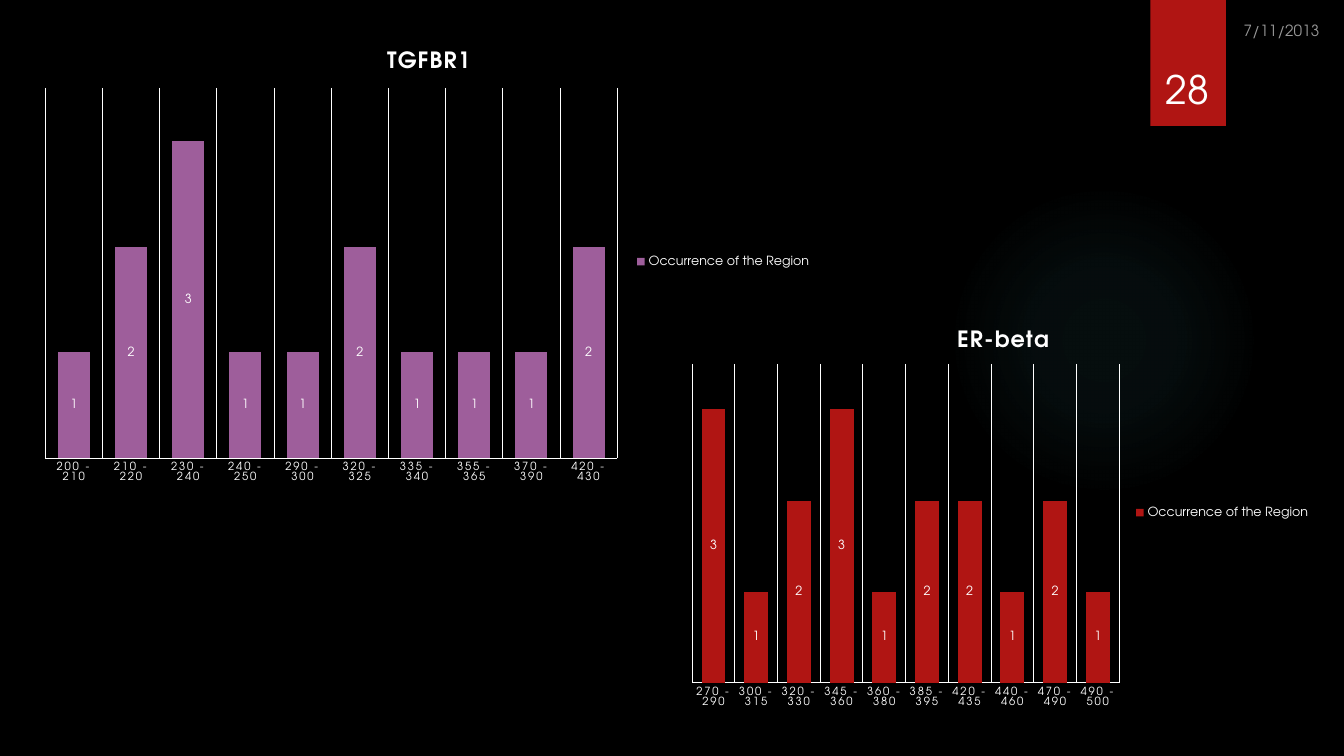
from pptx import Presentation
from pptx.chart.data import CategoryChartData as Data
from pptx.dml.color import RGBColor
from pptx.enum.chart import XL_CHART_TYPE as Kind, XL_LABEL_POSITION as Spot
from pptx.enum.chart import XL_LEGEND_POSITION as Side, XL_TICK_MARK as Tick
from pptx.enum.shapes import MSO_SHAPE as Form
from pptx.enum.text import MSO_ANCHOR as Anchor, PP_ALIGN as Align
from pptx.oxml import parse_xml
from pptx.oxml.ns import nsdecls, qn
from pptx.util import Pt

FACE = "TeX Gyre Adventor"
BLACK = RGBColor(0x00, 0x00, 0x00)
WHITE = RGBColor(0xFF, 0xFF, 0xFF)
RED = RGBColor(0xB0, 0x15, 0x13)
PLUM = RGBColor(0x9E, 0x5E, 0x9B)
TEAL = RGBColor(0x50, 0xB9, 0xC1)


def style(font, size, bold=False):
    font.name = FACE
    font.size = Pt(size)
    font.bold = bold
    font.color.rgb = WHITE


def add_text(slide, text, box, size=11, align=Align.LEFT, anchor=Anchor.TOP, alpha=100):
    frame = slide.shapes.add_textbox(*map(Pt, box)).text_frame
    frame.word_wrap = True
    frame.vertical_anchor = anchor
    para = frame.paragraphs[0]
    para.alignment = align
    run = para.add_run()
    run.text = text
    style(run.font, size)
    if alpha < 100:
        tint = run.font.fill.fore_color
        tint.rgb = WHITE
        for node in para._p.iter(qn("a:srgbClr")):
            node.append(parse_xml(f'<a:alpha {nsdecls("a")} val="{alpha * 1000}"/>'))


def add_form(slide, kind, box):
    form = slide.shapes.add_shape(kind, *map(Pt, box))
    form.shadow.inherit = False
    form.line.fill.background()
    return form


def add_badge(slide, box):
    badge = add_form(slide, Form.RECTANGLE, box)
    badge.fill.solid()
    badge.fill.fore_color.rgb = RED


def add_glow(slide, box):
    glow = add_form(slide, Form.OVAL, box)
    stops = "".join(
        f'<a:gs pos="{pos * 1000}"><a:srgbClr val="{TEAL}">'
        f'<a:alpha val="{alpha * 1000}"/></a:srgbClr></a:gs>'
        for pos, alpha in [(0, 7), (36, 6), (69, 0), (100, 0)])
    fill = parse_xml(
        f'<a:gradFill {nsdecls("a")}><a:gsLst>{stops}</a:gsLst><a:path path="circle">'
        '<a:fillToRect l="50000" t="50000" r="50000" b="50000"/></a:path></a:gradFill>')
    glow.element.spPr.find(qn("a:prstGeom")).addnext(fill)


def place(node, index, target="", **marks):
    for old in node.findall(qn("c:layout")):
        node.remove(old)
    inner = f'<c:layoutTarget val="{target}"/>' if target else ""
    modes = "".join(f'<c:{key}Mode val="edge"/>' for key in marks if key in "xy")
    sizes = "".join(f'<c:{key} val="{val:.3f}"/>' for key, val in marks.items())
    node.insert(index, parse_xml(
        f'<c:layout {nsdecls("c")}><c:manualLayout>{inner}{modes}{sizes}'
        '</c:manualLayout></c:layout>'))


def set_axes(chart):
    cats = chart.category_axis
    cats.major_tick_mark = cats.minor_tick_mark = Tick.NONE
    cats.has_major_gridlines = True
    for line in (cats.format.line, cats.major_gridlines.format.line):
        line.color.rgb = WHITE
        line.width = Pt(0.75)
    style(cats.tick_labels.font, 8)
    for node in chart.element.xpath(".//c:catAx//a:defRPr"):
        node.set("spc", "120")
    vals = chart.value_axis
    vals.minimum_scale, vals.maximum_scale = 0, 3.5
    vals.has_major_gridlines = False
    vals.visible = False


def set_title(chart, text, spot):
    chart.has_title = True
    title = chart.chart_title
    run = title.text_frame.paragraphs[0].add_run()
    run.text = text
    style(run.font, 16, bold=True)
    for node in title.element.iter(qn("a:rPr")):
        node.set("spc", "100")
    place(title.element, 1, x=spot[0], y=spot[1])


def add_bars(slide, title, ranges, counts, color, box, spot, plot):
    data = Data()
    data.categories = ranges
    data.add_series("Occurrence of the Region", counts)
    chart = slide.shapes.add_chart(Kind.COLUMN_STACKED, *map(Pt, box), data).chart
    style(chart.font, 10)
    chart.element.find(qn("c:chart")).addnext(parse_xml(
        f'<c:spPr {nsdecls("c", "a")}><a:noFill/><a:ln><a:noFill/></a:ln></c:spPr>'))
    set_title(chart, title, spot)
    set_axes(chart)

    chart.has_legend = True
    chart.legend.position = Side.RIGHT
    chart.legend.include_in_layout = False
    style(chart.legend.font, 9)

    bars = chart.plots[0]
    bars.gap_width, bars.overlap = 79, 100
    bars.vary_by_categories = False
    fill = bars.series[0].format.fill
    fill.solid()
    fill.fore_color.rgb = color
    labels = bars.series[0].data_labels
    labels.show_value = True
    labels.position = Spot.CENTER
    style(labels.font, 9)
    place(chart.element.xpath(".//c:plotArea")[0], 0, "inner", **dict(zip("xywh", plot)))


def main():
    deck = Presentation()
    deck.slide_width, deck.slide_height = Pt(960), Pt(540)
    slide = deck.slides.add_slide(deck.slide_layouts[6])
    slide.background.fill.solid()
    slide.background.fill.fore_color.rgb = BLACK

    add_glow(slide, (677.5, 131.8, 221.8, 221.8))
    add_badge(slide, (821.7, 0, 54, 90))
    add_text(slide, "7/11/2013", (881.3, 11.5, 77.8, 23.8), alpha=60)
    add_text(slide, "28", (815, 23, 66.2, 60.5), size=28,
             align=Align.CENTER, anchor=Anchor.BOTTOM)

    add_bars(slide, "TGFBR1",
             ["200 - 210", "210 - 220", "230 - 240", "240 - 250", "290 - 300",
              "320 - 325", "335 - 340", "355 - 365", "370 - 390", "420 - 430"],
             [1, 2, 3, 1, 1, 2, 1, 1, 1, 2], PLUM,
             (21.6, 21.6, 565.2, 330.5), (0.446, 0.032), (0.019, 0.125, 0.723, 0.8))
    add_bars(slide, "ER-beta",
             ["270 - 290", "300 - 315", "320 - 330", "345 - 360", "360 - 380",
              "385 - 395", "420 - 435", "440 - 460", "470 - 490", "490 - 500"],
             [3, 1, 2, 3, 1, 2, 2, 1, 2, 1], RED,
             (485.3, 220.3, 457.9, 291.6), (0.427, 0.037), (0.02, 0.136, 0.666, 0.781))
    deck.save("out.pptx")


if __name__ == "__main__":
    main()
